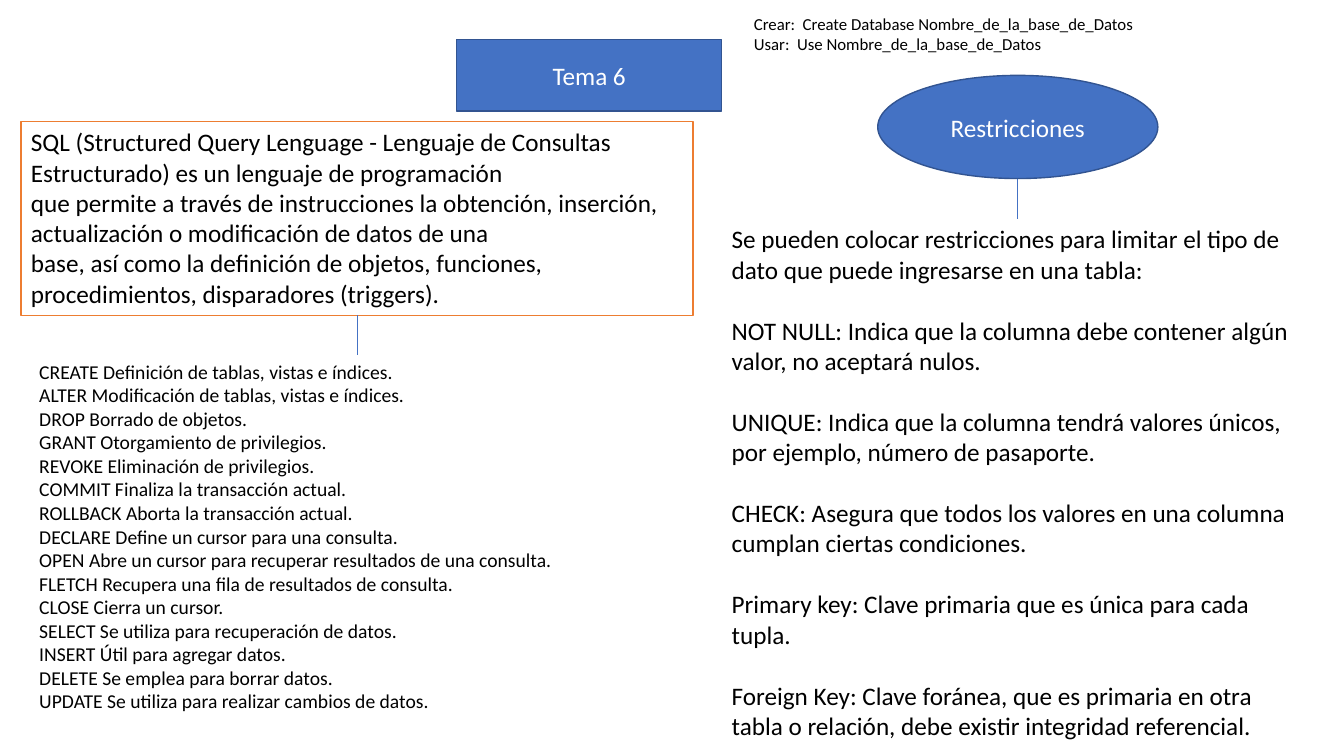
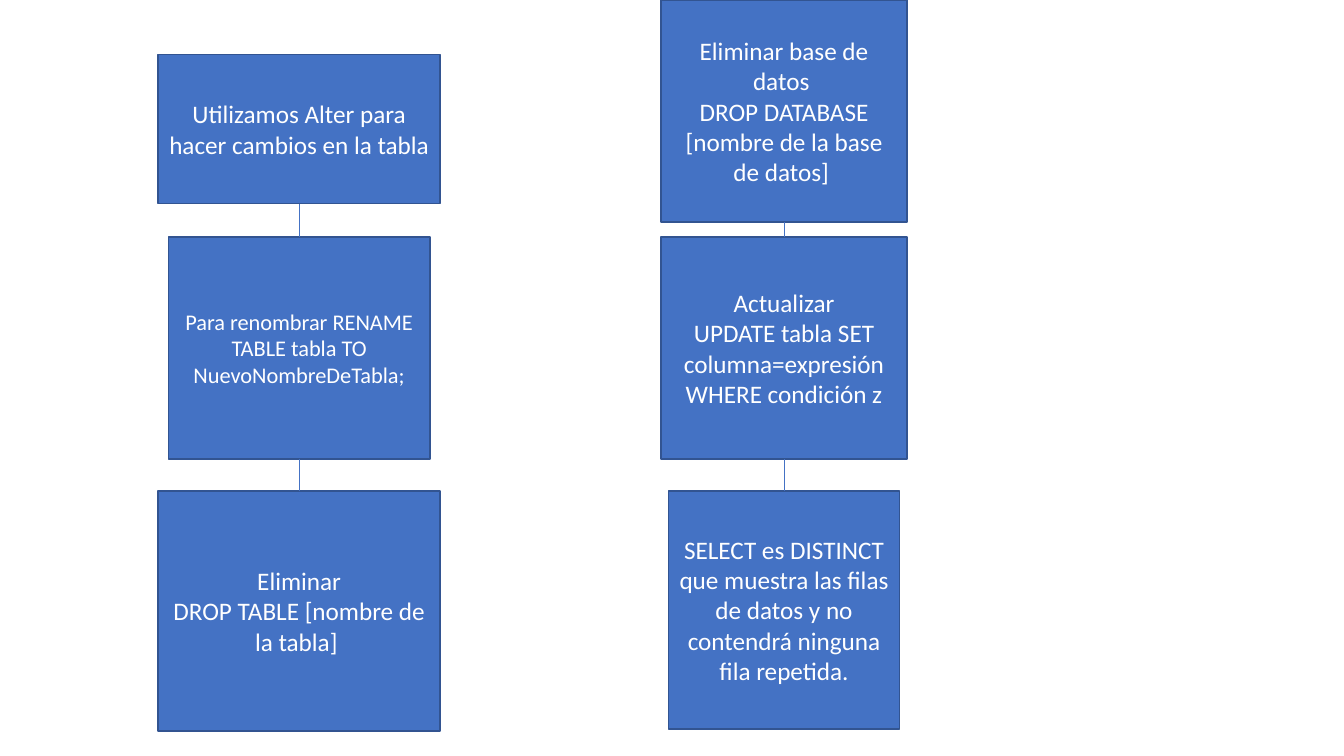
from pptx import Presentation
from pptx.dml.color import RGBColor
from pptx.enum.shapes import MSO_CONNECTOR as Connector, MSO_SHAPE as Shape
from pptx.enum.text import MSO_ANCHOR as Anchor, PP_ALIGN as Align
from pptx.oxml.ns import qn
from pptx.util import Cm, Pt
from lxml.etree import SubElement

BLUE, NAVY, ORANGE = "4472C4", "325491", "ED7D31"
WHITE, BLACK = "FFFFFF", "000000"
FONT = "Calibri"
TOP, BOTTOM, ELLIPSE_BOTTOM = 0, 2, 4

DEFINITION = [
    "SQL (Structured Query Lenguage - Lenguaje de Consultas Estructurado) es un lenguaje de programación",
    "que permite a través de instrucciones la obtención, inserción, actualización o modificación de datos de una",
    "base, así como la definición de objetos, funciones, procedimientos, disparadores (triggers).",
]
COMMANDS = [
    "CREATE Definición de tablas, vistas e índices.",
    "ALTER Modificación de tablas, vistas e índices.",
    "DROP Borrado de objetos.",
    "GRANT Otorgamiento de privilegios.",
    "REVOKE Eliminación de privilegios.",
    "COMMIT Finaliza la transacción actual.",
    "ROLLBACK Aborta la transacción actual.",
    "DECLARE Define un cursor para una consulta.",
    "OPEN Abre un cursor para recuperar resultados de una consulta.",
    "FLETCH Recupera una fila de resultados de consulta.",
    "CLOSE Cierra un cursor.",
    "SELECT Se utiliza para recuperación de datos.",
    "INSERT Útil para agregar datos.",
    "DELETE Se emplea para borrar datos.",
    "UPDATE Se utiliza para realizar cambios de datos.",
]
CONSTRAINTS = [
    "Se pueden colocar restricciones para limitar el tipo de dato que puede ingresarse en una tabla:",
    "NOT NULL: Indica que la columna debe contener algún valor, no aceptará nulos.",
    "UNIQUE: Indica que la columna tendrá valores únicos, por ejemplo, número de pasaporte.",
    "CHECK: Asegura que todos los valores en una columna cumplan ciertas condiciones.",
    "Primary key: Clave primaria que es única para cada tupla.",
    "Foreign Key: Clave foránea, que es primaria en otra tabla o relación, debe existir integridad referencial.",
]
DATABASE = [
    "Crear:  Create Database Nombre_de_la_base_de_Datos",
    "Usar:  Use Nombre_de_la_base_de_Datos",
]
# Each chain: centre x, then boxes as (top, width, height, size, lines), in cm and points.
CHAINS = [
    (7.54, [
        (1.37, 7.11, 3.76, 18, ["Utilizamos Alter para hacer cambios en la tabla"]),
        (5.97, 6.6, 5.6, 16, ["Para renombrar RENAME TABLE tabla TO NuevoNombreDeTabla;"]),
        (12.37, 7.11, 6.05, 18, ["Eliminar", "DROP TABLE [nombre de la tabla] "]),
    ]),
    (19.76, [
        (0, 6.2, 5.6, 18, ["Eliminar base de datos ", "DROP DATABASE [nombre de la base de datos] "]),
        (5.97, 6.2, 5.6, 18, ["Actualizar", "UPDATE tabla SET columna=expresión", "WHERE condición z"]),
        (12.37, 5.82, 6, 18, ["SELECT es DISTINCT que muestra las filas de datos y no",
                              "contendrá ninguna fila repetida."]),
    ]),
]


def color(value):
    """Return the colour for a hex string."""
    return RGBColor.from_string(value)


def write(shape, lines, size, ink, align, gap=0):
    """Fill a shape with one paragraph per line."""
    frame = shape.text_frame
    frame.word_wrap = True
    frame.text = "\n".join(lines)
    for paragraph in frame.paragraphs:
        paragraph.alignment = align
        paragraph.space_after = Pt(gap)
        paragraph.font.name = FONT
        paragraph.font.size = Pt(size)
        paragraph.font.color.rgb = color(ink)


def add_box(slide, area, lines, size=18, kind=Shape.RECTANGLE,
            fill=BLUE, line=NAVY, ink=WHITE, align=Align.CENTER):
    """Add a filled, outlined shape with text."""
    shape = slide.shapes.add_shape(kind, *map(Cm, area))
    shape.shadow.inherit = False
    shape.fill.solid()
    shape.fill.fore_color.rgb = color(fill)
    shape.line.color.rgb = color(line)
    shape.line.width = Pt(1)
    write(shape, lines, size, ink, align)
    return shape


def add_note(slide, area, lines, size, gap=0):
    """Add plain black text."""
    shape = slide.shapes.add_textbox(*map(Cm, area))
    write(shape, lines, size, BLACK, Align.LEFT, gap)
    return shape


def join(slide, upper, lower, site=BOTTOM):
    """Link the bottom of one shape to the top of the next."""
    connector = slide.shapes.add_connector(Connector.STRAIGHT, 0, 0, 0, 0)
    connector.begin_connect(upper, BOTTOM)
    connector.end_connect(lower, TOP)
    if site != BOTTOM:
        connector._element.nvCxnSpPr.cNvCxnSpPr.stCxn.idx = site
    connector.line.color.rgb = color(BLUE)
    connector.line.width = Pt(0.5)
    SubElement(connector._element.spPr, qn("a:effectLst"))


def build_overview(slide):
    """Draw the SQL definition, its commands and the constraints."""
    add_box(slide, (11.51, 1, 6.68, 1.8), ["Tema 6"])
    definition = add_box(slide, (0.53, 3.07, 16.94, 4.88), DEFINITION, fill=WHITE,
                         line=ORANGE, ink=BLACK, align=Align.LEFT)
    definition.text_frame.vertical_anchor = Anchor.TOP
    commands = add_note(slide, (0.53, 8.94, 16.94, 9.25), COMMANDS, 14)
    commands.left, commands.width = Cm(0.74), Cm(16.52)
    join(slide, definition, commands)
    heading = add_box(slide, (22.12, 1.9, 7.06, 2.6), ["Restricciones"], kind=Shape.OVAL)
    constraints = add_note(slide, (18.19, 5.51, 14.92, 13.34), CONSTRAINTS, 18, gap=22)
    join(slide, heading, constraints, ELLIPSE_BOTTOM)
    add_note(slide, (18.75, 0.23, 14.7, 1.27), DATABASE, 12)


def build_chains(slide):
    """Draw each column of linked boxes."""
    for center, boxes in CHAINS:
        shapes = [add_box(slide, (center - width / 2, top, width, height), lines, size)
                  for top, width, height, size, lines in boxes]
        for upper, lower in zip(shapes, shapes[1:]):
            join(slide, upper, lower)


def main():
    """Build and save the presentation."""
    presentation = Presentation()
    presentation.slide_width, presentation.slide_height = Cm(33.87), Cm(19.05)
    for build in (build_overview, build_chains):
        build(presentation.slides.add_slide(presentation.slide_layouts[6]))
    presentation.save("out.pptx")


if __name__ == "__main__":
    main()
